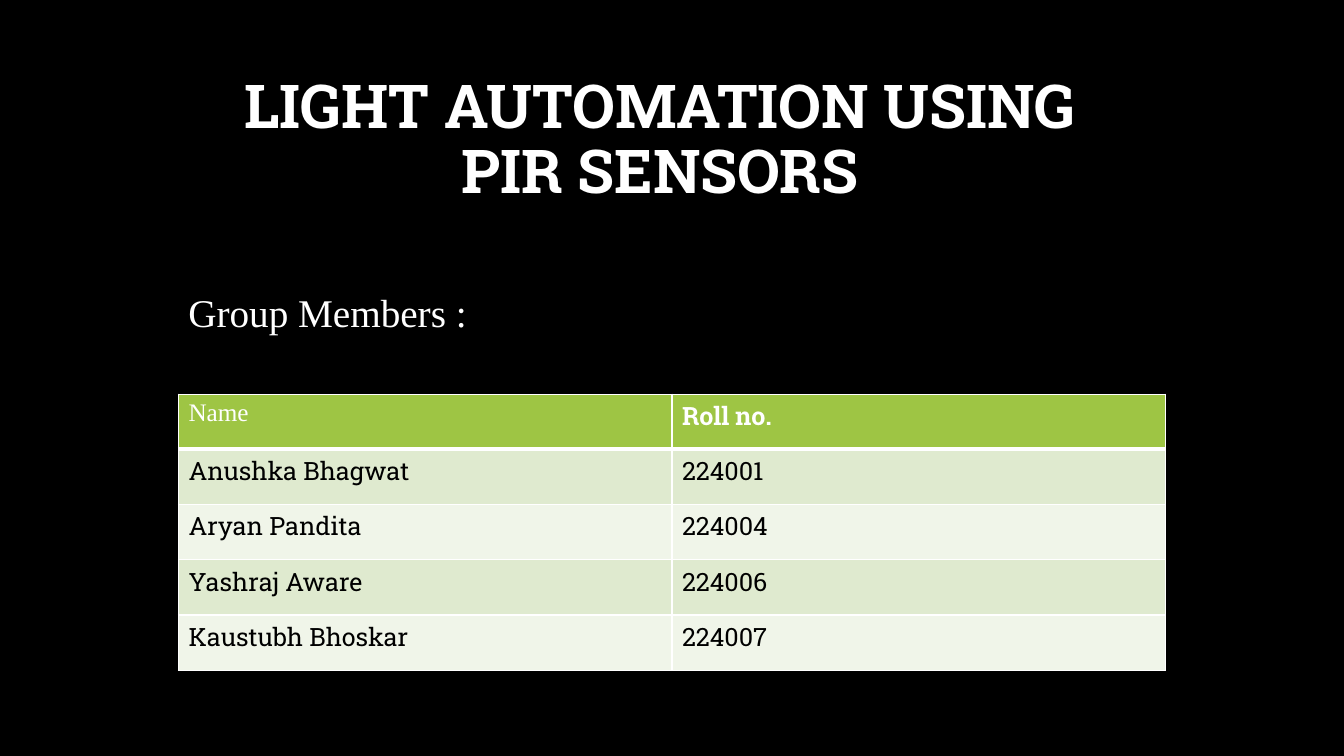
from lxml import etree
from pptx import Presentation
from pptx import util as u
from pptx.dml.color import RGBColor
from pptx.enum import text
from pptx.oxml import ns

# Content
TITLE = "LIGHT AUTOMATION USING PIR SENSORS"
SUBTITLE = "Group Members :"
MEMBERS = [
    ("Name", "Roll no."),
    ("Anushka Bhagwat", "224001"),
    ("Aryan Pandita", "224004"),
    ("Yashraj Aware", "224006"),
    ("Kaustubh Bhoskar", "224007"),
]

# Style
COLORS = {"background": "000000", "light": "FFFFFF", "dark": "000000",
          "header": "9EC544", "odd": "DFEACF", "even": "F0F5E9"}
SLAB, SERIF = "Roboto Slab", "Times New Roman"

# Layout in inches: left, top, width, height
WIDTH, HEIGHT = 13.33, 7.5
MARGIN = 1.77
TITLE_BOX = (2.15, 0.78, 8.79, 1.32)
SUBTITLE_BOX = (MARGIN, 2.72, 10.33, 0.73)
TABLE_BOX = (MARGIN, 3.91, WIDTH - 2 * MARGIN, 2.74)


def color(name):
    return RGBColor.from_string(COLORS[name])


def inches(box):
    return [u.Inches(length) for length in box]


def add_run(paragraph, words, size, font, color_name, bold=False):
    run = paragraph.add_run()
    run.text = words
    run.font.size = u.Pt(size)
    run.font.name = font
    run.font.bold = bold
    run.font.color.rgb = color(color_name)


def set_borders(cell, bottom, top):
    properties = cell._tc.get_or_add_tcPr()
    widths = {"lnL": 1, "lnR": 1, "lnT": top, "lnB": bottom}
    for position, (side, width) in enumerate(widths.items()):
        line = etree.Element(ns.qn("a:" + side), w=str(u.Pt(width)))
        fill = etree.SubElement(line, ns.qn("a:solidFill"))
        etree.SubElement(fill, ns.qn("a:srgbClr"), val=COLORS["light"])
        properties.insert(position, line)


def add_title(slide):
    title = slide.shapes.title
    title.left, title.top, title.width, title.height = inches(TITLE_BOX)
    frame = title.text_frame
    frame.word_wrap = True
    frame.auto_size = text.MSO_AUTO_SIZE.NONE
    frame.vertical_anchor = text.MSO_ANCHOR.BOTTOM
    paragraph = frame.paragraphs[0]
    paragraph.alignment = text.PP_ALIGN.CENTER
    paragraph.line_spacing = 0.9
    add_run(paragraph, TITLE, 43.2, SLAB, "light", bold=True)


def add_subtitle(slide):
    frame = slide.shapes.add_textbox(*inches(SUBTITLE_BOX)).text_frame
    frame.word_wrap = True
    paragraph = frame.paragraphs[0]
    paragraph.line_spacing = 1.2
    paragraph.space_before = u.Pt(10)
    add_run(paragraph, SUBTITLE, 28, SERIF, "light")


def add_members(slide):
    rows, columns = len(MEMBERS), len(MEMBERS[0])
    table = slide.shapes.add_table(rows, columns, *inches(TABLE_BOX)).table
    for r, member in enumerate(MEMBERS):
        header = r == 0
        fill = "header" if header else ("odd" if r % 2 else "even")
        for c, words in enumerate(member):
            cell = table.cell(r, c)
            cell.fill.solid()
            cell.fill.fore_color.rgb = color(fill)
            set_borders(cell, bottom=3 if header else 1, top=3 if r == 1 else 1)
            add_run(cell.text_frame.paragraphs[0], words, 18,
                    SERIF if header and c == 0 else SLAB,
                    "light" if header else "dark",
                    bold=header and c == 1)


def main():
    presentation = Presentation()
    presentation.slide_width = u.Inches(WIDTH)
    presentation.slide_height = u.Inches(HEIGHT)
    slide = presentation.slides.add_slide(presentation.slide_layouts[5])
    slide.background.fill.solid()
    slide.background.fill.fore_color.rgb = color("background")
    add_title(slide)
    add_subtitle(slide)
    add_members(slide)
    presentation.save("out.pptx")


if __name__ == "__main__":
    main()
